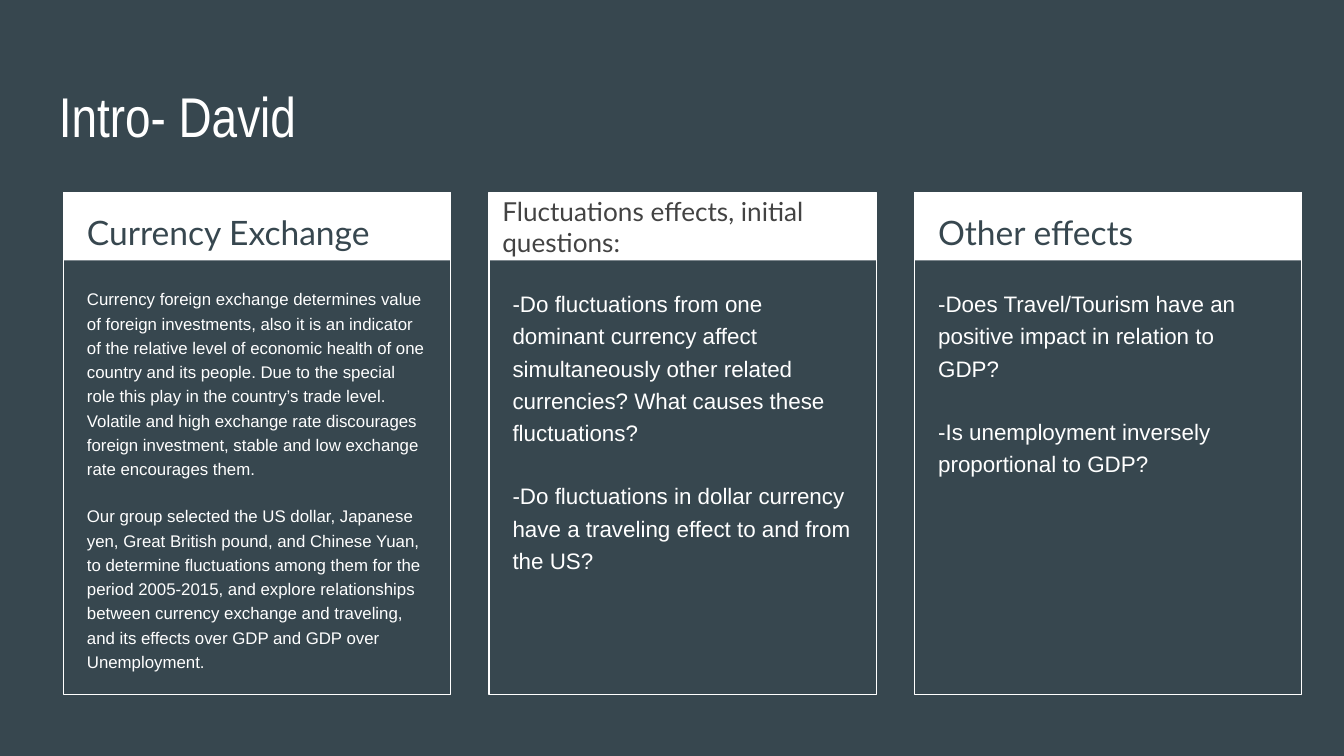
"""Build the introduction slide with three headed question cards."""
from pptx import Presentation
from pptx.dml.color import RGBColor
from pptx.enum.shapes import MSO_SHAPE as Shape
from pptx.enum.text import MSO_ANCHOR as Anchor
from pptx.util import Pt

SLATE, WHITE, GREY = "37474F", "FFFFFF", "434343"
TITLE = "Intro- David"
CARDS = [
    {
        "heading": "Currency Exchange",
        "body_size": 9,
        "groups": [
            [
                "Currency foreign exchange determines value of foreign investments, "
                "also it is an indicator of the relative level of economic health of "
                "one country and its people. Due to the special role this play in the "
                "country’s trade level.",
                "Volatile and high exchange rate discourages foreign investment, "
                "stable and low exchange rate encourages them.",
            ],
            [
                "Our group selected the US dollar, Japanese yen, Great British pound, "
                "and Chinese Yuan, to determine fluctuations among them for the period "
                "2005-2015, and explore relationships between currency exchange and "
                "traveling, and its effects over GDP and GDP over Unemployment.",
            ],
        ],
    },
    {
        "heading": "Fluctuations effects, initial questions:",
        "in_bar": True,
        "body_size": 12,
        "groups": [
            ["-Do fluctuations from one dominant currency affect simultaneously "
             "other related currencies? What causes these fluctuations?"],
            ["-Do fluctuations in dollar currency have a traveling effect to and "
             "from the US?"],
        ],
    },
    {
        "heading": "Other effects",
        "body_size": 12,
        "groups": [
            ["-Does Travel/Tourism have an positive impact in relation to GDP?"],
            ["-Is unemployment inversely proportional to GDP?"],
        ],
    },
]
LEFT, TOP, WIDTH, HEIGHT = 34, 103, 207.4, 269
PITCH, BAR, INDENT = 228, 36.5, 5.5
BODY_TOP, BODY_HEIGHT = 145.5, 220
BODY_SPACING, BLANK_LINE = 1.2, 1.38


def color(value):
    return RGBColor.from_string(value)


def add_rect(page, left, height, fill=None, line=None):
    box = page.shapes.add_shape(Shape.RECTANGLE, Pt(left), Pt(TOP), Pt(WIDTH), Pt(height))
    box.shadow.inherit = False
    if fill:
        box.fill.solid()
        box.fill.fore_color.rgb = color(fill)
    else:
        box.fill.background()
    if line:
        box.line.color.rgb = color(line)
        box.line.width = Pt(0.75)
    else:
        box.line.fill.background()
    return box


def add_frame(page, left, top, width, height):
    box = page.shapes.add_textbox(Pt(left), Pt(top), Pt(width), Pt(height))
    return box.text_frame


def write(frame, groups, size, face, ink, spacing=1.0, anchor=Anchor.TOP):
    frame.word_wrap = True
    frame.vertical_anchor = anchor
    frame.margin_left = frame.margin_right = Pt(7.2)
    frame.margin_top = frame.margin_bottom = Pt(7.2)
    lines = [(text, number > 0 and place == 0)
             for number, group in enumerate(groups)
             for place, text in enumerate(group)]
    for index, (text, gap) in enumerate(lines):
        para = frame.add_paragraph() if index else frame.paragraphs[0]
        para.text = text
        para.line_spacing = spacing
        para.space_before = Pt(round(size * BLANK_LINE, 1) if gap else 0)
        para.font.size = Pt(size)
        para.font.name = face
        para.font.color.rgb = color(ink)


def add_card(page, left, card):
    add_rect(page, left, HEIGHT, line=WHITE)
    bar = add_rect(page, left, BAR, fill=WHITE)
    heading = [[card["heading"]]]
    inner = WIDTH - 2 * INDENT
    if card.get("in_bar"):
        write(bar.text_frame, heading, 14, "Lato", GREY, anchor=Anchor.MIDDLE)
        bar.text_frame.paragraphs[0].alignment = 1
    else:
        frame = add_frame(page, left + INDENT, TOP, inner, BAR)
        write(frame, heading, 18, "Lato", SLATE, 1.15)
    body = add_frame(page, left + INDENT, BODY_TOP, inner, BODY_HEIGHT)
    write(body, card["groups"], card["body_size"], "Arial", WHITE, BODY_SPACING)


def main():
    deck = Presentation()
    deck.slide_width, deck.slide_height = Pt(720), Pt(405)
    page = deck.slides.add_slide(deck.slide_layouts[6])
    page.background.fill.solid()
    page.background.fill.fore_color.rgb = color(SLATE)
    write(add_frame(page, 24.5, 36.5, 671, 45), [[TITLE]], 30, "Arial Narrow", WHITE)
    for index, card in enumerate(CARDS):
        add_card(page, LEFT + index * PITCH, card)
    deck.save("out.pptx")


if __name__ == "__main__":
    main()
